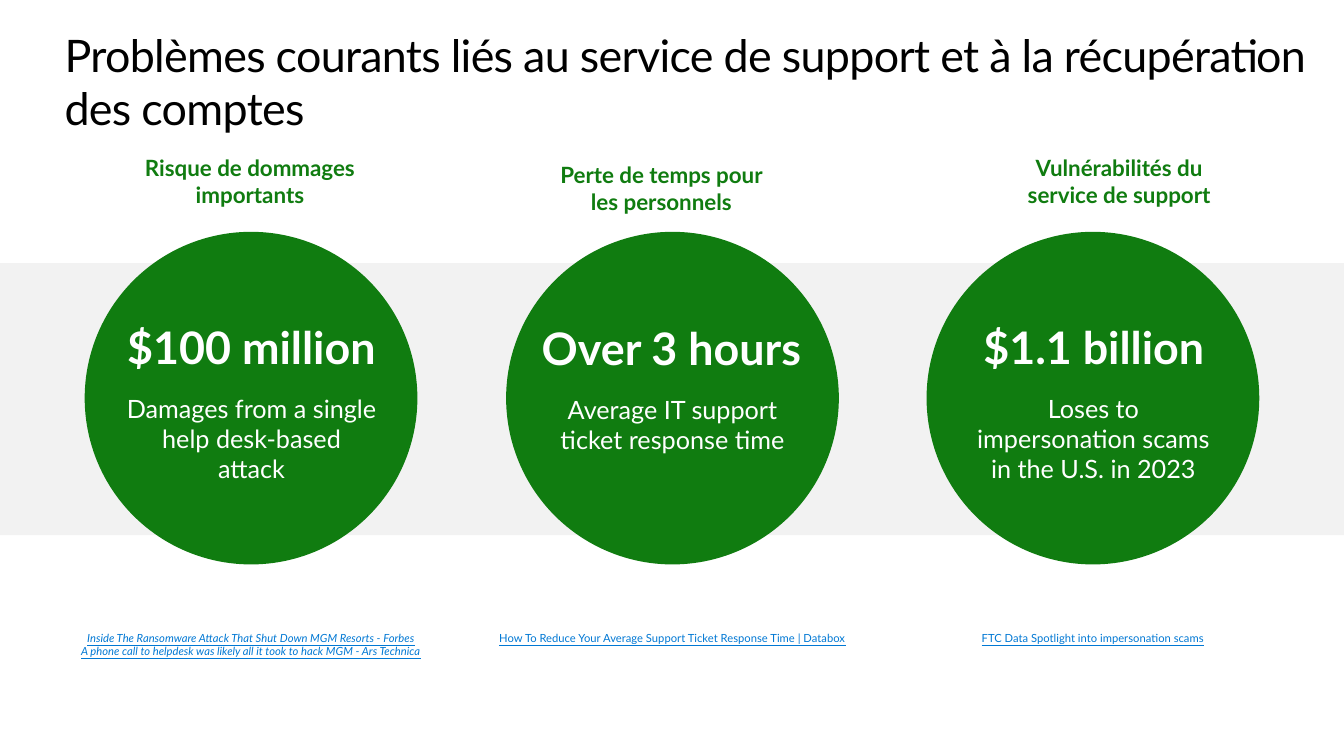
from pptx import Presentation, util as u
from pptx.dml.color import RGBColor
from pptx.enum import shapes, text

PX = 9144  # EMU per px, 100 px to the inch
FONT = "Lato"
BLACK, WHITE, GREEN, BAND, LINK = "000000", "FFFFFF", "107C10", "F2F2F2", "0078D4"

# Per column: circle left, then (box, wording) for heading, figure, detail, sources
COLUMNS = [
    (84,
     ((118, 148, 260, 64), "Risque de dommages importants"),
     ((118, 326, 263, 45), "$100 million"),
     ((115, 385, 269, 101), "Damages from a single help desk-based attack"),
     ((64, 621, 370, 50),
      "Inside The Ransomware Attack That Shut Down MGM Resorts - Forbes\n"
      "A phone call to helpdesk was likely all it took to hack MGM - Ars Technica")),
    (502,
     ((531, 155, 250, 64), "Perte de temps pour les personnels"),
     ((531, 318, 270, 54), "Over 3 hours"),
     ((542, 386, 250, 71), "Average IT support ticket response time"),
     ((482, 621, 370, 24),
      "How To Reduce Your Average Support Ticket Response Time | Databox")),
    (919,
     ((985, 148, 250, 64), "Vulnérabilités du service de support"),
     ((967, 317, 236, 54), "$1.1 billion"),
     ((948, 385, 273, 101), "Loses to impersonation scams in the U.S. in 2023"),
     ((899, 621, 370, 24), "FTC Data Spotlight into impersonation scams")),
]


def rgb(value):
    return RGBColor.from_string(value)


def emu(box):
    return [n * PX for n in box]


def add_filled(s, kind, box, fill):
    sp = s.shapes.add_shape(kind, *emu(box))
    sp.shadow.inherit = False
    sp.fill.solid()
    sp.fill.fore_color.rgb = rgb(fill)
    sp.line.fill.background()


def add_text(s, box, wording, size, color, inset=(0, 0), wrap=True, bold=False,
             italic=False, underline=False, align=text.PP_ALIGN.CENTER):
    """Add a text box; inset is (sides, top and bottom) in px."""
    tf = s.shapes.add_textbox(*emu(box)).text_frame
    tf.word_wrap = wrap
    tf.margin_left = tf.margin_right = inset[0] * PX
    tf.margin_top = tf.margin_bottom = inset[1] * PX
    tf.text = wording
    for p in tf.paragraphs:
        p.alignment = align
        for r in p.runs:
            f = r.font
            f.name, f.size, f.color.rgb = FONT, u.Pt(size), rgb(color)
            f.bold, f.italic, f.underline = bold, italic, underline
    return tf


def add_title(s, wording):
    tf = add_text(s, (64, 27, 1231, 108), wording, 32, BLACK,
                  align=text.PP_ALIGN.LEFT)
    tf.paragraphs[0].runs[0].font._element.set("spc", "-50")


def add_column(s, heading, figure, detail, sources):
    tf = add_text(s, *heading, 16, GREEN, inset=(10, 5), bold=True)
    tf.paragraphs[0].space_after = u.Pt(6)
    tf = add_text(s, *figure, 32, WHITE, wrap=False, bold=True)
    if figure[0][3] == 45:  # the shorter box holds a tight line
        tf.paragraphs[0].line_spacing = u.Pt(32)
    add_text(s, *detail, 18, WHITE, inset=(10, 5))
    add_text(s, *sources, 8, LINK, inset=(0, 5), underline=True,
             italic="\n" in sources[1])


def main():
    prs = Presentation()
    prs.slide_width, prs.slide_height = 1333 * PX, 750 * PX
    s = prs.slides.add_slide(prs.slide_layouts[6])
    add_title(s, "Problèmes courants liés au service de support et à la "
                 "récupération des comptes")
    add_filled(s, shapes.MSO_SHAPE.RECTANGLE, (0, 261, 1333, 270), BAND)
    for left, *parts in COLUMNS:
        add_filled(s, shapes.MSO_SHAPE.OVAL, (left, 230, 330, 330), GREEN)
        add_column(s, *parts)
    prs.save("out.pptx")


if __name__ == "__main__":
    main()
